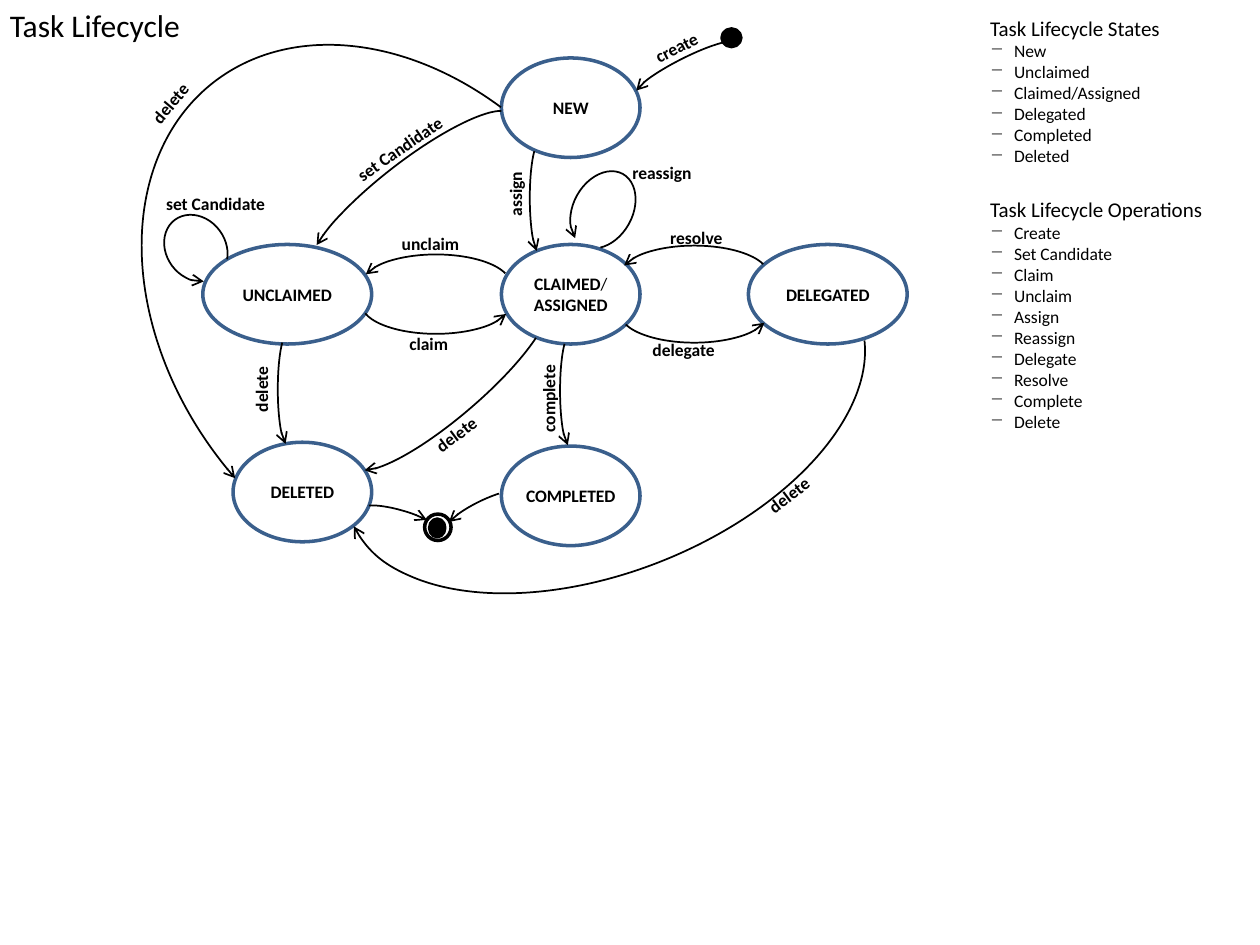
import lxml.etree
import pptx
import pptx.dml.color
import pptx.enum.shapes
import pptx.enum.text
import pptx.oxml.ns
import pptx.util

Inches = pptx.util.Inches
Pt = pptx.util.Pt
SHAPES = pptx.enum.shapes.MSO_SHAPE
BLACK, WHITE, BLUE = "000000", "FFFFFF", "3A5F8C"

# left, top, width, text runs (every second run is not bold)
STATES = [
    (3.98, 0.46, 1.10, ["NEW"]),
    (3.98, 1.94, 1.10, ["CLAIMED", "/ ", "ASSIGNED"]),
    (3.98, 3.54, 1.10, ["COMPLETED"]),
    (5.94, 1.94, 1.26, ["DELEGATED"]),
    (1.61, 1.94, 1.34, ["UNCLAIMED"]),
    (1.85, 3.51, 1.10, ["DELETED"]),
]

# left, top, width, height, rotation, start and end angle, arrow end
TRANSITIONS = [
    (2.87, 2.18, 1.18, 0.47, 0, 187.9, 352.66, "head"),       # claim
    (4.92, 2.25, 1.18, 0.47, 0, 187.9, 350.5, "head"),        # delegate
    (4.92, 1.95, 1.18, 0.47, 180, 187.9, 350.85, "head"),     # resolve
    (2.87, 2.02, 1.18, 0.47, 180, 187.9, 351.21, "head"),     # unclaim
    (2.27, 1.28, 1.99, 0.47, 142.4, 187.9, 355.95, "head"),   # set candidate
    (4.08, 3.02, 0.89, 0.16, 90, 182.42, 353.19, "head"),     # complete
    (3.84, 1.49, 0.89, 0.16, 90, 183.47, 353.19, "head"),     # assign
    (5.00, 0.46, 0.89, 0.16, 153.2, 182.42, 353.19, "head"),  # create
    (1.84, 3.01, 0.89, 0.16, 90, 182.42, 353.19, "head"),     # delete unclaimed
    (1.37, 0.15, 3.59, 4.80, 142.4, 173.81, 333.11, "head"),  # delete new
    (2.58, 2.82, 1.99, 0.48, 319.4, 191.47, 355.95, "tail"),  # delete claimed
    (2.63, 2.10, 4.34, 2.44, 338.3, 185.02, 358.42, "tail"),  # delete delegated
    (3.50, 3.98, 0.65, 0.16, 153.2, 189.29, 340.5, "head"),   # completed to end
    (2.85, 4.05, 0.65, 0.16, 196.1, 189.29, 342.91, "tail"),  # deleted to end
]
SELF_TRANSITIONS = [
    (4.55, 1.34, 0.47, 0.65, 29.2, 105.1, 64.64, "head"),     # reassign
    (1.32, 1.69, 0.47, 0.56, 323.5, 113.1, 56.03, "head"),    # set candidate
]

# text, left, top, width, rotation
LABELS = [
    ("complete", 3.98, 3.02, 0.75, 270),
    ("delegate", 5.08, 2.64, 0.71, 0),
    ("claim", 3.15, 2.59, 0.51, 0),
    ("resolve", 5.22, 1.75, 0.62, 0),
    ("unclaim", 3.09, 1.80, 0.66, 0),
    ("assign", 3.81, 1.40, 0.56, 270),
    ("reassign", 4.92, 1.24, 0.68, 0),
    ("set Candidate", 2.68, 1.04, 1.00, 325.2),
    ("set Candidate", 1.22, 1.48, 1.00, 0),
    ("create", 5.09, 0.24, 0.57, 333.2),
    ("delete", 1.79, 2.95, 0.57, 270),
    ("delete", 5.98, 3.79, 0.57, 323),
    ("delete", 1.07, 0.68, 0.57, 310.1),
    ("delete", 3.34, 3.31, 0.57, 323),
]

STATE_NAMES = ["New", "Unclaimed", "Claimed/Assigned", "Delegated",
               "Completed", "Deleted"]
OPERATION_NAMES = ["Create", "Set Candidate", "Claim", "Unclaim", "Assign",
                   "Reassign", "Delegate", "Resolve", "Complete", "Delete"]


def rgb(color):
    return pptx.dml.color.RGBColor.from_string(color)


def set_font(paragraph, size, bold=False):
    font = paragraph.font
    font.name, font.size, font.bold = "Calibri", Pt(size), bold
    font.color.rgb = rgb(BLACK)


def add_outlined(shapes, kind, box, fill, line, width):
    shape = shapes.add_shape(kind, *map(Inches, box))
    shape.shadow.inherit = False
    if fill:
        shape.fill.solid()
        shape.fill.fore_color.rgb = rgb(fill)
    else:
        shape.fill.background()
    shape.line.color.rgb = rgb(line)
    shape.line.width = Pt(width)
    return shape


def add_state(shapes, left, top, width, runs):
    state = add_outlined(shapes, SHAPES.OVAL, (left, top, width, 0.79),
                         WHITE, BLUE, 2)
    frame = state.text_frame
    frame.margin_left = frame.margin_right = 0
    frame.vertical_anchor = pptx.enum.text.MSO_ANCHOR.MIDDLE
    paragraph = frame.paragraphs[0]
    paragraph.alignment = pptx.enum.text.PP_ALIGN.CENTER
    set_font(paragraph, 10, bold=True)
    for index, text in enumerate(runs):
        run = paragraph.add_run()
        run.text = text
        run.font.color.rgb = rgb(BLACK)
        if index % 2:
            run.font.bold = False


def add_transition(shapes, left, top, width, height, rotation, start, end,
                   arrow_end, flipped=True):
    arc = add_outlined(shapes, SHAPES.ARC, (left, top, width, height),
                       None, BLACK, 1)
    arc.rotation = rotation
    # 60000 units to a degree, 100000 units to an adjustment of 1
    arc.adjustments[0] = start * 0.6
    arc.adjustments[1] = end * 0.6
    if flipped:
        transform = arc.element.spPr.find(pptx.oxml.ns.qn("a:xfrm"))
        transform.set("flipH", "1")
        transform.set("flipV", "1")
    lxml.etree.SubElement(arc.line._get_or_add_ln(),
                          pptx.oxml.ns.qn(f"a:{arrow_end}End"), type="arrow")


def add_text(shapes, text, left, top, width, height, size, bold=False,
             rotation=0, wrap=False):
    box = shapes.add_textbox(*map(Inches, (left, top, width, height)))
    box.rotation = rotation
    frame = box.text_frame
    frame.word_wrap = wrap
    frame.auto_size = pptx.enum.text.MSO_AUTO_SIZE.SHAPE_TO_FIT_TEXT
    frame.paragraphs[0].text = text
    set_font(frame.paragraphs[0], size, bold)
    return frame


def add_list(shapes, heading, items, left, top, width, height, wrap):
    frame = add_text(shapes, heading, left, top, width, height, 12, wrap=wrap)
    for item in items:
        paragraph = frame.add_paragraph()
        paragraph.text = item
        properties = paragraph._p.get_or_add_pPr()
        indent = Inches(0.19)
        properties.set("marL", str(indent))
        properties.set("indent", str(-indent))
        lxml.etree.SubElement(properties, pptx.oxml.ns.qn("a:buChar"), char="−")
        set_font(paragraph, 10)


def add_end_points(shapes):
    add_outlined(shapes, SHAPES.OVAL, (5.73, 0.23, 0.15, 0.14), BLACK, BLACK, 2)
    final = shapes.add_group_shape().shapes
    add_outlined(final, SHAPES.OVAL, (3.41, 4.12, 0.12, 0.14), BLACK, BLACK, 2)
    add_outlined(final, SHAPES.OVAL, (3.37, 4.08, 0.21, 0.21), None, BLACK, 2)


def main():
    deck = pptx.Presentation()
    deck.slide_width, deck.slide_height = Inches(10), Inches(7.5)
    shapes = deck.slides.add_slide(deck.slide_layouts[6]).shapes

    add_text(shapes, "Task Lifecycle", -0.02, 0, 1.57, 0.4, 18)
    for state in STATES:
        add_state(shapes, *state)
    for transition in TRANSITIONS:
        add_transition(shapes, *transition)
    for transition in SELF_TRANSITIONS:
        add_transition(shapes, *transition, flipped=False)
    for text, left, top, width, rotation in LABELS:
        add_text(shapes, text, left, top, width, 0.27, 10, True, rotation)
    add_end_points(shapes)
    add_list(shapes, "Task Lifecycle States", STATE_NAMES,
             7.76, 0.07, 1.57, 1.31, wrap=False)
    add_list(shapes, "Task Lifecycle Operations", OPERATION_NAMES,
             7.76, 1.51, 2.01, 2.19, wrap=True)
    deck.save("out.pptx")


if __name__ == "__main__":
    main()
